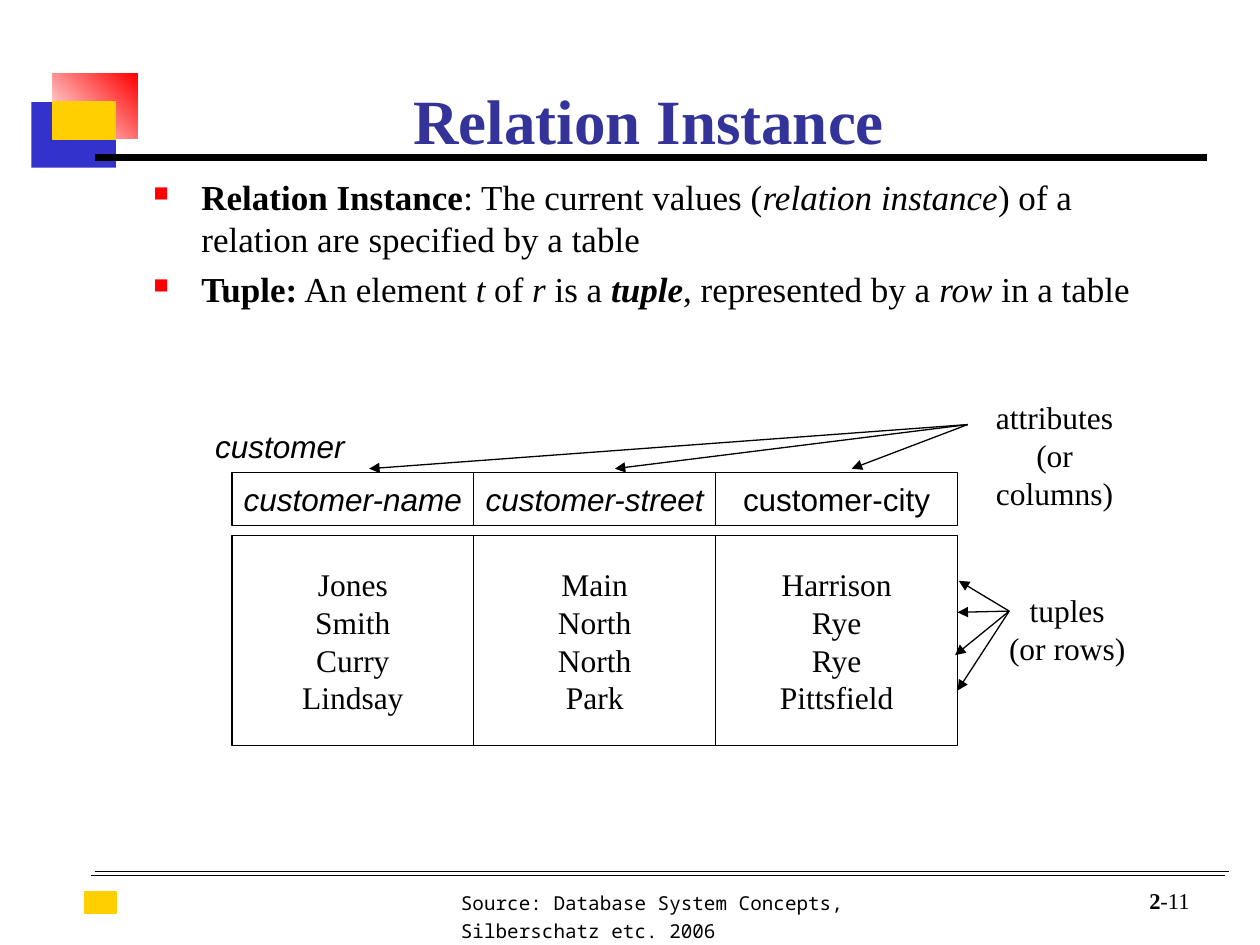
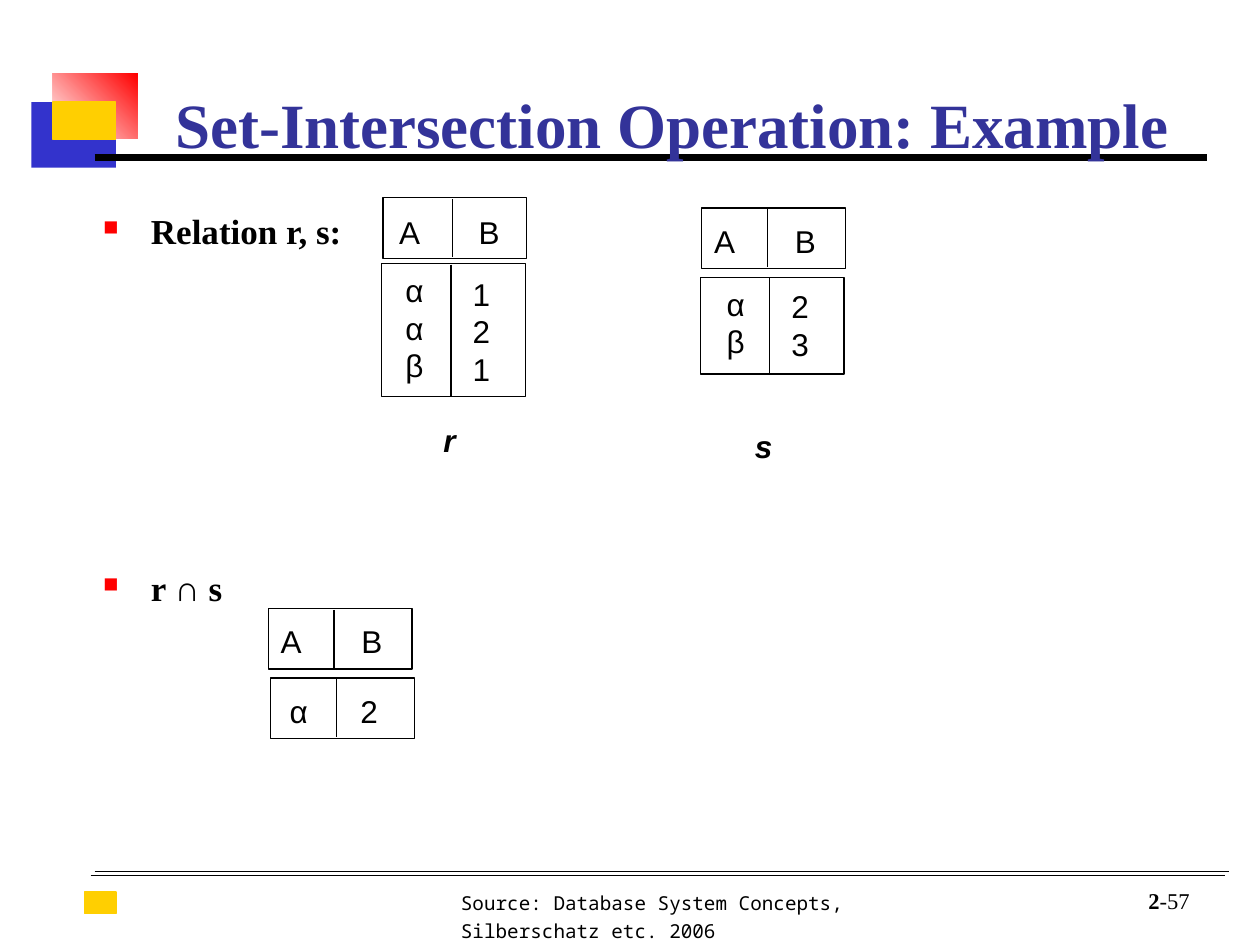
from dataclasses import dataclass
from typing import NamedTuple, Sequence, Union

from lxml import etree
from pptx import Presentation
from pptx.dml.color import RGBColor
from pptx.enum import shapes, text
from pptx.oxml import ns
from pptx.util import Inches, Pt

SERIF, SANS, MONO = "Times New Roman", "Arial", "Noto Sans Mono"
BLACK, WHITE, RED = "000000", "FFFFFF", "FF0000"
BLUE, YELLOW, TITLE_BLUE = "3333CC", "FFCF01", "333399"
LEFT, CENTER, RIGHT = text.PP_ALIGN.LEFT, text.PP_ALIGN.CENTER, text.PP_ALIGN.RIGHT
TOP, MIDDLE, BOTTOM = text.MSO_ANCHOR.TOP, text.MSO_ANCHOR.MIDDLE, text.MSO_ANCHOR.BOTTOM

BULLET_INDENT = 0.38
LINE_HEIGHT = 0.3
COLUMN_WIDTH = 0.36
BLOCK_WIDTH = 1.14


class Box(NamedTuple):
    left: float
    top: float
    width: float
    height: float


class Point(NamedTuple):
    x: float
    y: float


class Run(NamedTuple):
    text: str
    bold: bool = False
    italic: bool = False
    font: str = ""


Paragraph = Union[str, Sequence[Run]]


@dataclass(frozen=True)
class Attribute:
    name: str
    values: tuple[str, ...]
    italic: bool = True


@dataclass(frozen=True)
class Column:
    center: float
    top: float
    lines: str


@dataclass(frozen=True)
class Block:
    """A framed header or body of a small relation, split by a vertical line."""
    left: float
    top: float
    height: float
    divider: float
    columns: tuple[Column, Column]


def color(value: str) -> RGBColor:
    return RGBColor.from_string(value)


def add_bullet(paragraph) -> None:
    properties = paragraph._p.get_or_add_pPr()
    properties.set("marL", str(Inches(BULLET_INDENT)))
    properties.set("indent", str(-Inches(BULLET_INDENT)))
    bullet_color = etree.SubElement(properties, ns.qn("a:buClr"))
    etree.SubElement(bullet_color, ns.qn("a:srgbClr"), val=RED)
    etree.SubElement(properties, ns.qn("a:buSzPct"), val="60000")
    etree.SubElement(properties, ns.qn("a:buChar"), char="■")


def write_text(shape, paragraphs: Sequence[Paragraph], *, size: float = 18, font: str = SERIF,
               fill: str = BLACK, bold: bool = False, italic: bool = False, align=CENTER,
               anchor=TOP, wrap: bool = False, bullets: bool = False, gap: float = 0,
               spacing: float = 1, margins: tuple[float, float] = (0.05, 0.05)) -> None:
    """Fill a shape with paragraphs; gap is the space in points between them."""
    frame = shape.text_frame
    frame.word_wrap = wrap
    frame.vertical_anchor = anchor
    frame.margin_left = frame.margin_right = Inches(0.1)
    frame.margin_top, frame.margin_bottom = map(Inches, margins)
    for index, content in enumerate(paragraphs):
        paragraph = frame.add_paragraph() if index else frame.paragraphs[0]
        paragraph.alignment = align
        paragraph.line_spacing = spacing
        if index and gap:
            paragraph.space_before = Pt(gap)
        if bullets:
            add_bullet(paragraph)
        for part in [Run(content)] if isinstance(content, str) else content:
            run = paragraph.add_run()
            run.text = part.text
            run.font.name = part.font or font
            run.font.size = Pt(size)
            run.font.bold = bold or part.bold
            run.font.italic = italic or part.italic
            run.font.color.rgb = color(fill)


def add_text(slide, box: Box, paragraphs: Sequence[Paragraph], **text_format) -> None:
    write_text(slide.shapes.add_textbox(*map(Inches, box)), paragraphs, **text_format)


def add_rectangle(slide, box: Box, fill: str = WHITE, line: str = BLACK):
    shape = slide.shapes.add_shape(shapes.MSO_SHAPE.RECTANGLE, *map(Inches, box))
    shape.shadow.inherit = False
    shape.fill.solid()
    shape.fill.fore_color.rgb = color(fill)
    if line:
        shape.line.color.rgb = color(line)
        shape.line.width = Pt(0.75)
    else:
        shape.line.fill.background()
    return shape


def add_line(slide, start: Point, end: Point, width: float = 0.75, arrow: bool = False) -> None:
    connector = slide.shapes.add_connector(shapes.MSO_CONNECTOR.STRAIGHT,
                                           *map(Inches, (*start, *end)))
    connector.line.color.rgb = color(BLACK)
    connector.line.width = Pt(width)
    properties = connector.element.spPr
    if arrow:
        etree.SubElement(properties.get_or_add_ln(), ns.qn("a:tailEnd"), type="triangle")
    etree.SubElement(properties, ns.qn("a:effectLst"))


def add_frame(slide, number: int) -> None:
    """Draw the ornament, rules and footer that every slide carries."""
    add_text(slide, Box(3.56, 6.99, 4.35, 0.54),
             ["Source: Database System Concepts, Silberschatz etc. 2006"],
             size=11, font=MONO, align=LEFT, wrap=True, spacing=1.2)
    add_rectangle(slide, Box(0.25, 0.81, 0.67, 0.52), BLUE, line="")
    red_square = add_rectangle(slide, Box(0.42, 0.58, 0.67, 0.52), RED, line="")
    red_square.fill.gradient()
    red_square.fill.gradient_angle = 45
    for stop, position, value in zip(red_square.fill.gradient_stops, (0, 1), (WHITE, RED)):
        stop.position = position
        stop.color.rgb = color(value)
    add_rectangle(slide, Box(0.42, 0.81, 0.5, 0.3), YELLOW, YELLOW)
    add_rectangle(slide, Box(0.67, 7.08, 0.25, 0.17), YELLOW, YELLOW)
    add_line(slide, Point(0.75, 6.92), Point(9.75, 6.92), 0.5)
    add_line(slide, Point(0.75, 1.25), Point(9.58, 1.25), 4.5)
    add_line(slide, Point(0.72, 6.95), Point(9.72, 6.95), 0.5)
    add_text(slide, Box(8.71, 6.97, 0.83, 0.33), [[Run("2", bold=True), Run(f"-{number}")]],
             size=12.9, align=RIGHT, anchor=BOTTOM, wrap=True)


def add_slide(presentation, number: int, title: str, title_box: Box):
    slide = presentation.slides.add_slide(presentation.slide_layouts[6])
    add_frame(slide, number)
    add_text(slide, title_box, [title], size=36, fill=TITLE_BLUE, bold=True,
             anchor=BOTTOM, wrap=True, margins=(0, 0))
    return slide


def add_body(slide, box: Box, paragraphs: Sequence[Paragraph], **text_format) -> None:
    add_text(slide, box, paragraphs, size=20, align=LEFT, wrap=True, bullets=True,
             margins=(0.07, 0), **text_format)


def add_block(slide, block: Block) -> None:
    add_rectangle(slide, Box(block.left, block.top, BLOCK_WIDTH, block.height))
    add_line(slide, Point(block.divider, block.top + 0.01),
             Point(block.divider, block.top + block.height - 0.01))
    for column in block.columns:
        box = Box(column.center - COLUMN_WIDTH / 2, column.top, COLUMN_WIDTH,
                  0.1 + LINE_HEIGHT * len(column.lines))
        add_text(slide, box, column.lines, font=SANS)


def build_relation_instance(presentation) -> None:
    slide = add_slide(presentation, 11, "Relation Instance", Box(1.17, 0.5, 7.96, 0.75))
    add_body(slide, Box(1.12, 1.32, 8.3, 2.15), [
        [Run("Relation Instance", bold=True), Run(": The current values ("),
         Run("relation instance", italic=True),
         Run(") of a relation are specified by a table")],
        [Run("Tuple:", bold=True), Run(" An element "), Run("t", italic=True), Run(" of "),
         Run("r", italic=True), Run(" is a "), Run("tuple", bold=True, italic=True),
         Run(", represented by a "), Run("row ", italic=True), Run("in a table")],
    ], gap=5)

    attributes = (
        Attribute("customer-name", ("Jones", "Smith", "Curry", "Lindsay")),
        Attribute("customer-street", ("Main", "North", "North", "Park")),
        Attribute("customer-city", ("Harrison", "Rye", "Rye", "Pittsfield"), italic=False),
    )
    column_width = 1.92
    for index, attribute in enumerate(attributes):
        left = 1.84 + index * column_width
        values = add_rectangle(slide, Box(left, 4.25, column_width, 1.67))
        write_text(values, attribute.values, anchor=MIDDLE)
        header = add_rectangle(slide, Box(left, 3.75, column_width, 0.42))
        write_text(header, [attribute.name], font=SANS, italic=attribute.italic, anchor=MIDDLE)

    add_text(slide, Box(7.63, 3.11, 1.48, 0.7), ["attributes", "(or columns)"])
    add_text(slide, Box(7.91, 4.64, 1.12, 0.7), ["tuples", "(or rows)"])
    add_text(slide, Box(1.61, 3.34, 1.23, 0.4), ["customer"], font=SANS, italic=True, align=LEFT)
    for x in (2.93, 4.88, 6.76):
        add_line(slide, Point(7.68, 3.37), Point(x, 3.72), arrow=True)
    for tip in (Point(7.61, 4.61), Point(7.6, 4.86), Point(7.58, 5.2), Point(7.6, 5.48)):
        add_line(slide, Point(8.01, 4.85), tip, arrow=True)


def build_set_intersection(presentation) -> None:
    slide = add_slide(presentation, 57, "Set-Intersection Operation: Example",
                      Box(1.08, 0.53, 8.51, 0.75))
    add_body(slide, Box(0.72, 1.59, 8.67, 5.5),
             ["Relation r, s:", [Run("r "), Run("∩", font=SANS), Run(" s")]],
             bold=True, gap=180)

    blocks = (
        Block(3.04, 1.57, 0.48, 3.59, (Column(3.25, 1.64, "A"), Column(3.88, 1.64, "B"))),
        Block(3.03, 2.09, 1.06, 3.58, (Column(3.29, 2.1, "ααβ"), Column(3.82, 2.13, "121"))),
        Block(5.57, 1.65, 0.48, 6.09, (Column(5.75, 1.71, "A"), Column(6.39, 1.71, "B"))),
        Block(5.56, 2.2, 0.77, 6.11, (Column(5.84, 2.21, "αβ"), Column(6.35, 2.23, "23"))),
        Block(2.13, 4.83, 0.48, 2.65, (Column(2.31, 4.89, "A"), Column(2.95, 4.89, "B"))),
        Block(2.15, 5.38, 0.48, 2.67, (Column(2.37, 5.44, "α"), Column(2.93, 5.44, "2"))),
    )
    for block in blocks:
        add_block(slide, block)
    for name, box in (("r", Box(3.42, 3.29, 0.29, 0.4)), ("s", Box(5.89, 3.34, 0.34, 0.4))):
        add_text(slide, box, [name], font=SANS, bold=True, italic=True)


def main() -> None:
    presentation = Presentation()
    presentation.slide_width = Inches(10)
    presentation.slide_height = Inches(7.5)
    build_relation_instance(presentation)
    build_set_intersection(presentation)
    presentation.save("out.pptx")


if __name__ == "__main__":
    main()
